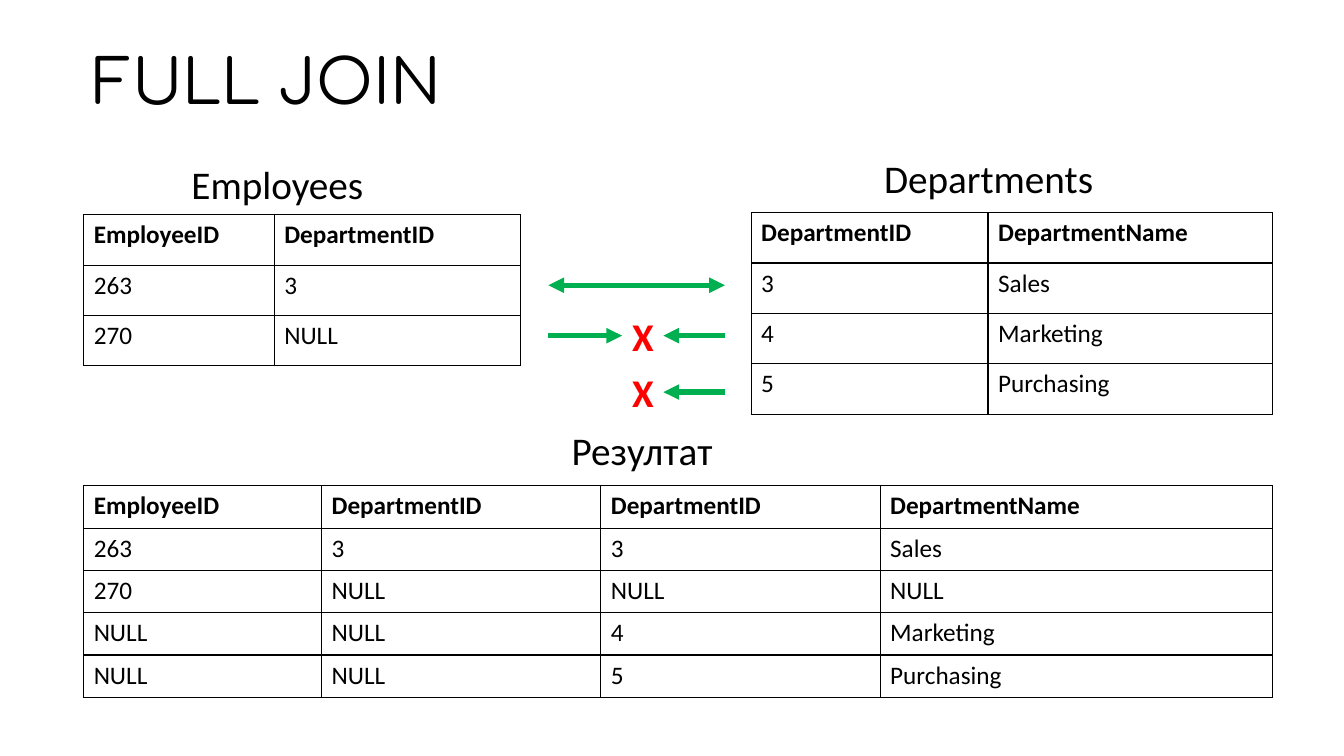
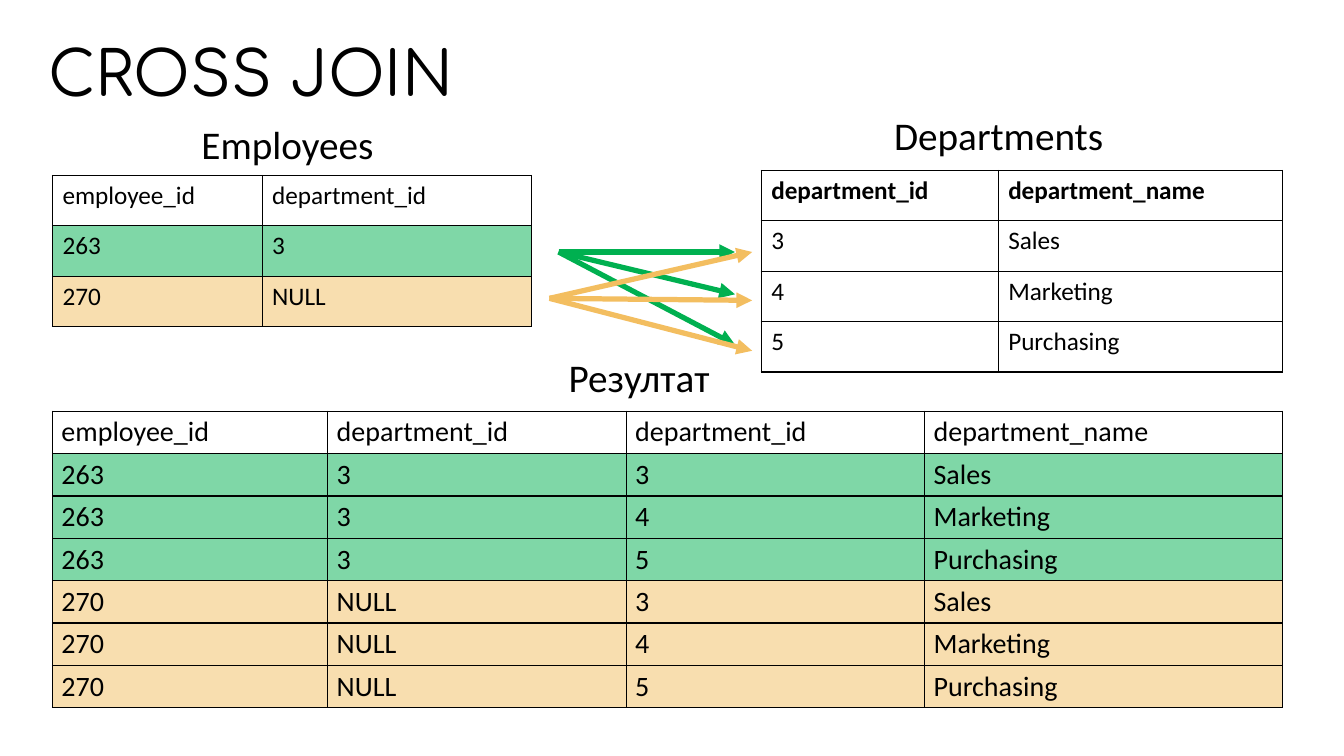
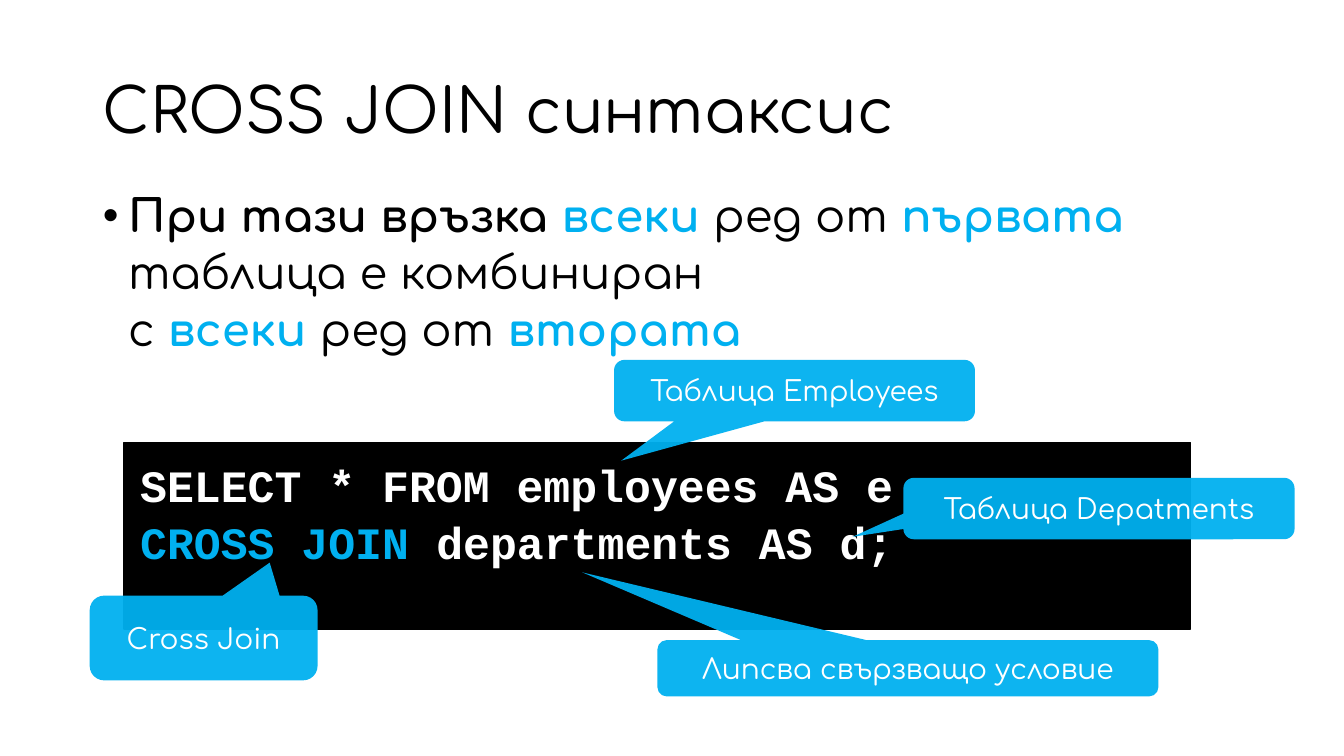
"""Build three slides that explain SQL full and cross joins."""
from dataclasses import dataclass
from typing import Any, Optional

from lxml import etree
from pptx import Presentation
from pptx.dml.color import RGBColor
from pptx.enum.shapes import MSO_CONNECTOR, MSO_SHAPE
from pptx.enum.text import MSO_ANCHOR, MSO_AUTO_SIZE, PP_ALIGN
from pptx.oxml.ns import qn
from pptx.util import Inches, Pt

LINE = MSO_CONNECTOR.STRAIGHT
RECT = MSO_SHAPE.RECTANGLE
BUBBLE = MSO_SHAPE.ROUNDED_RECTANGULAR_CALLOUT
TOP, MIDDLE = MSO_ANCHOR.TOP, MSO_ANCHOR.MIDDLE
LEFT, CENTER = PP_ALIGN.LEFT, PP_ALIGN.CENTER
FIXED, GROW = MSO_AUTO_SIZE.NONE, MSO_AUTO_SIZE.SHAPE_TO_FIT_TEXT

COLORS = {
    "black": "000000",
    "white": "FFFFFF",
    "green": "00B050",
    "sand": "F3BE60",
    "red": "FF0000",
    "blue": "00B0F0",
}
PLAIN, ROUND, MONO = "Calibri", "Comfortaa", "Courier New"
SPACING = 1.06
Box = tuple[float, float, float, float]
Rows = list[list[str]]


@dataclass
class Grid:
    left: float
    top: float
    widths: list[float]
    height: float
    rows: Rows
    bold: bool = True
    size: int = 18
    inset: tuple[float, float] = (0.1, 0.05)
    fills: tuple[Optional[str], ...] = ()


@dataclass
class Label:
    text: str
    box: Box
    color: str = "black"
    bold: bool = False


@dataclass
class Arrow:
    start: tuple[float, float]
    end: tuple[float, float]
    color: str = "green"
    double: bool = False


@dataclass
class Callout:
    text: str
    box: Box
    tip: tuple[float, float]


@dataclass
class Span:
    text: str
    color: str = "black"
    bold: bool = True


def rgb(name: str) -> RGBColor:
    return RGBColor.from_string(COLORS[name])


def style(font: Any, face: str, size: int, color: str, bold: bool = False) -> None:
    font.name, font.size, font.bold = face, Pt(size), bold
    font.color.rgb = rgb(color)


def place(shape: Any, box: Box) -> None:
    shape.left, shape.top, shape.width, shape.height = map(Inches, box)


def paint(fill: Any, props: Any, color: str, alpha: int) -> None:
    fill.solid()
    fill.fore_color.rgb = rgb(color)
    tone = props.find(qn("a:solidFill")).find(qn("a:srgbClr"))
    etree.SubElement(tone, qn("a:alpha"), val=str(alpha * 1000))


def add_page(deck: Any, layout: int, title: str, box: Box) -> Any:
    slide = deck.slides.add_slide(deck.slide_layouts[layout])
    head = slide.shapes.title
    place(head, box)
    frame = head.text_frame
    frame.text = title
    frame.auto_size, frame.vertical_anchor = FIXED, MIDDLE
    para = frame.paragraphs[0]
    para.alignment, para.line_spacing = LEFT, 0.9
    style(para.font, ROUND, 44, "black")
    return slide


def add_edges(props: Any) -> None:
    for side in ("lnL", "lnR", "lnT", "lnB"):
        edge = etree.SubElement(props, qn(f"a:{side}"), w=str(Pt(1)))
        fill = etree.SubElement(edge, qn("a:solidFill"))
        etree.SubElement(fill, qn("a:srgbClr"), val=COLORS["black"])


def add_grid(slide: Any, grid: Grid) -> None:
    count = len(grid.rows)
    box = (grid.left, grid.top, sum(grid.widths), grid.height * count)
    table = slide.shapes.add_table(count, len(grid.widths), *map(Inches, box)).table
    table.first_row = table.horz_banding = False
    for column, width in zip(table.columns, grid.widths):
        column.width = Inches(width)
    for i, row in enumerate(grid.rows):
        table.rows[i].height = Inches(grid.height)
        tint = grid.fills[i] if grid.fills else None
        for j, text in enumerate(row):
            cell = table.cell(i, j)
            cell.text = text
            cell.margin_left = cell.margin_right = Inches(grid.inset[0])
            cell.margin_top = cell.margin_bottom = Inches(grid.inset[1])
            props = cell._tc.get_or_add_tcPr()
            add_edges(props)
            if tint:
                paint(cell.fill, props, tint, 50)
            else:
                cell.fill.background()
            font = cell.text_frame.paragraphs[0].font
            style(font, PLAIN, grid.size, "black", grid.bold and i == 0)


def add_label(slide: Any, label: Label) -> None:
    frame = slide.shapes.add_textbox(*map(Inches, label.box)).text_frame
    frame.word_wrap, frame.auto_size = False, GROW
    frame.text = label.text
    style(frame.paragraphs[0].font, PLAIN, 28, label.color, label.bold)


def add_arrow(slide: Any, arrow: Arrow) -> None:
    ends = map(Inches, arrow.start + arrow.end)
    link = slide.shapes.add_connector(LINE, *ends)
    link.line.color.rgb = rgb(arrow.color)
    link.line.width = Pt(3.75)
    line = link.line._get_or_add_ln()
    if arrow.double:
        etree.SubElement(line, qn("a:headEnd"), type="triangle")
    etree.SubElement(line, qn("a:tailEnd"), type="triangle")
    etree.SubElement(link._element.spPr, qn("a:effectLst"))


def add_callout(slide: Any, note: Callout) -> None:
    shape = slide.shapes.add_shape(BUBBLE, *map(Inches, note.box))
    shape.shadow.inherit = False
    for i, value in enumerate((*note.tip, 0.17)):
        shape.adjustments[i] = value
    paint(shape.fill, shape._element.spPr, "blue", 95)
    shape.line.fill.background()
    frame = shape.text_frame
    frame.text = note.text
    frame.vertical_anchor = MIDDLE
    para = frame.paragraphs[0]
    para.alignment = CENTER
    style(para.font, ROUND, 20, "white")


def add_spans(para: Any, spans: list[Span], face: str) -> None:
    para.line_spacing = SPACING
    for span in spans:
        for i, part in enumerate(span.text.split("\n")):
            if i:
                para.add_line_break()
            run = para.add_run()
            run.text = part
            style(run.font, face, 32, span.color, span.bold)


def add_body(slide: Any, box: Box, spans: list[Span]) -> None:
    body = slide.placeholders[1]
    place(body, box)
    body.text_frame.auto_size = FIXED
    para = body.text_frame.paragraphs[0]
    para.space_before = Pt(10)
    props = para._p.get_or_add_pPr()
    props.set("marL", str(Inches(0.25)))
    props.set("indent", str(Inches(-0.25)))
    add_spans(para, spans, ROUND)


def add_code(slide: Any, box: Box, lines: list[list[Span]]) -> None:
    shape = slide.shapes.add_shape(RECT, *map(Inches, box))
    shape.shadow.inherit = False
    shape.fill.solid()
    shape.fill.fore_color.rgb = rgb("black")
    shape.line.color.rgb = rgb("black")
    shape.line.width = Pt(1)
    frame = shape.text_frame
    frame.vertical_anchor = TOP
    frame.margin_left = frame.margin_right = Inches(0.16)
    frame.margin_top = frame.margin_bottom = Inches(0.12)
    for i, spans in enumerate(lines):
        para = frame.add_paragraph() if i else frame.paragraphs[0]
        para.alignment = LEFT
        add_spans(para, spans, MONO)


def draw(slide: Any, grids: list[Grid], labels: list[Label], arrows: list[Arrow]) -> None:
    for grid in grids:
        add_grid(slide, grid)
    for label in labels:
        add_label(slide, label)
    for arrow in arrows:
        add_arrow(slide, arrow)


STAFF = [["263", "3"], ["270", "NULL"]]
UNITS = [["3", "Sales"], ["4", "Marketing"], ["5", "Purchasing"]]
UNIT_COLS = [2.35, 2.82]


def build_full(deck: Any) -> None:
    slide = add_page(deck, 5, "FULL JOIN", (0.83, 0.11, 11.5, 1.45))
    left, right = ["EmployeeID", "DepartmentID"], ["DepartmentID", "DepartmentName"]
    none = ["NULL", "NULL"]
    result = [left + right, STAFF[0] + UNITS[0], STAFF[1] + none]
    result += [none + unit for unit in UNITS[1:]]
    grids = [
        Grid(0.83, 2.13, [1.89, 2.44], 0.5, [left] + STAFF),
        Grid(7.45, 2.11, UNIT_COLS, 0.5, [right] + UNITS),
        Grid(0.83, 4.82, [2.36, 2.77, 2.77, 3.89], 0.42, result),
    ]
    labels = [
        Label("Employees", (1.8, 1.54, 1.92, 0.57)),
        Label("Departments", (8.67, 1.48, 2.3, 0.57)),
        Label("Резултат", (5.57, 4.18, 1.61, 0.57)),
    ]
    labels += [Label("X", (6.17, y, 0.42, 0.57), "red", True) for y in (3.05, 3.6)]
    arrows = [
        Arrow((7.19, 2.83), (5.44, 2.83), double=True),
        Arrow((5.44, 3.33), (6.17, 3.33)),
    ]
    arrows += [Arrow((7.19, y), (6.58, y)) for y in (3.33, 3.89)]
    draw(slide, grids, labels, arrows)


def build_cross(deck: Any) -> None:
    slide = add_page(deck, 5, "CROSS JOIN", (0.38, 0.19, 11.5, 1.14))
    left, right = ["employee_id", "department_id"], ["department_id", "department_name"]
    result = [left + right] + [man + unit for man in STAFF for unit in UNITS]
    tints = ("white",) + ("green",) * 3 + ("sand",) * 3
    grids = [
        Grid(0.52, 1.74, [2.08, 2.67], 0.5, [left] + STAFF, False,
             fills=("white", "green", "sand")),
        Grid(7.55, 1.69, UNIT_COLS, 0.5, [right] + UNITS),
        Grid(0.52, 4.08, [2.73, 2.96, 2.96, 3.55], 0.42, result, False, 20,
             (0.09, 0.04), tints),
    ]
    labels = [
        Label("Employees", (1.9, 1.14, 1.92, 0.57)),
        Label("Departments", (8.77, 1.06, 2.3, 0.57)),
        Label("Резултат", (5.54, 3.46, 1.61, 0.57)),
    ]
    arrows = [Arrow((5.54, 2.5), (7.29, y)) for y in (2.5, 2.92, 3.42)]
    arrows += [Arrow((5.45, 2.96), (7.46, y), "sand") for y in (2.5, 2.98, 3.48)]
    draw(slide, grids, labels, arrows)


def build_syntax(deck: Any) -> None:
    slide = add_page(deck, 1, "CROSS JOIN синтаксис", (0.92, 0.4, 11.5, 1.45))
    add_body(slide, (0.92, 1.78, 11.32, 2.04), [
        Span("При тази връзка "),
        Span("всеки", "blue"),
        Span(" ред от ", bold=False),
        Span("първата ", "blue"),
        Span("таблица е комбиниран\nс ", bold=False),
        Span("всеки", "blue"),
        Span(" ред от ", bold=False),
        Span("втората", "blue"),
    ])
    add_code(slide, (1.23, 4.39, 10.58, 1.85), [
        [Span("SELECT * FROM employees AS e", "white")],
        [Span("CROSS JOIN ", "blue"), Span("departments AS d;", "white")],
    ])
    notes = [
        Callout("Таблица Depatments", (8.96, 4.74, 3.88, 0.61), (-0.63, 0.46)),
        Callout("Таблица Employees", (6.09, 3.57, 3.58, 0.61), (-0.48, 1.14)),
        Callout("Липсва свързващо условие", (6.52, 6.35, 4.97, 0.56), (-0.65, -1.7)),
        Callout("Cross Join", (0.89, 5.91, 2.26, 0.84), (0.29, -0.89)),
    ]
    for note in notes:
        add_callout(slide, note)


def main() -> None:
    deck = Presentation()
    deck.slide_width, deck.slide_height = Inches(13.33), Inches(7.5)
    for build in (build_full, build_cross, build_syntax):
        build(deck)
    deck.save("out.pptx")


if __name__ == "__main__":
    main()
